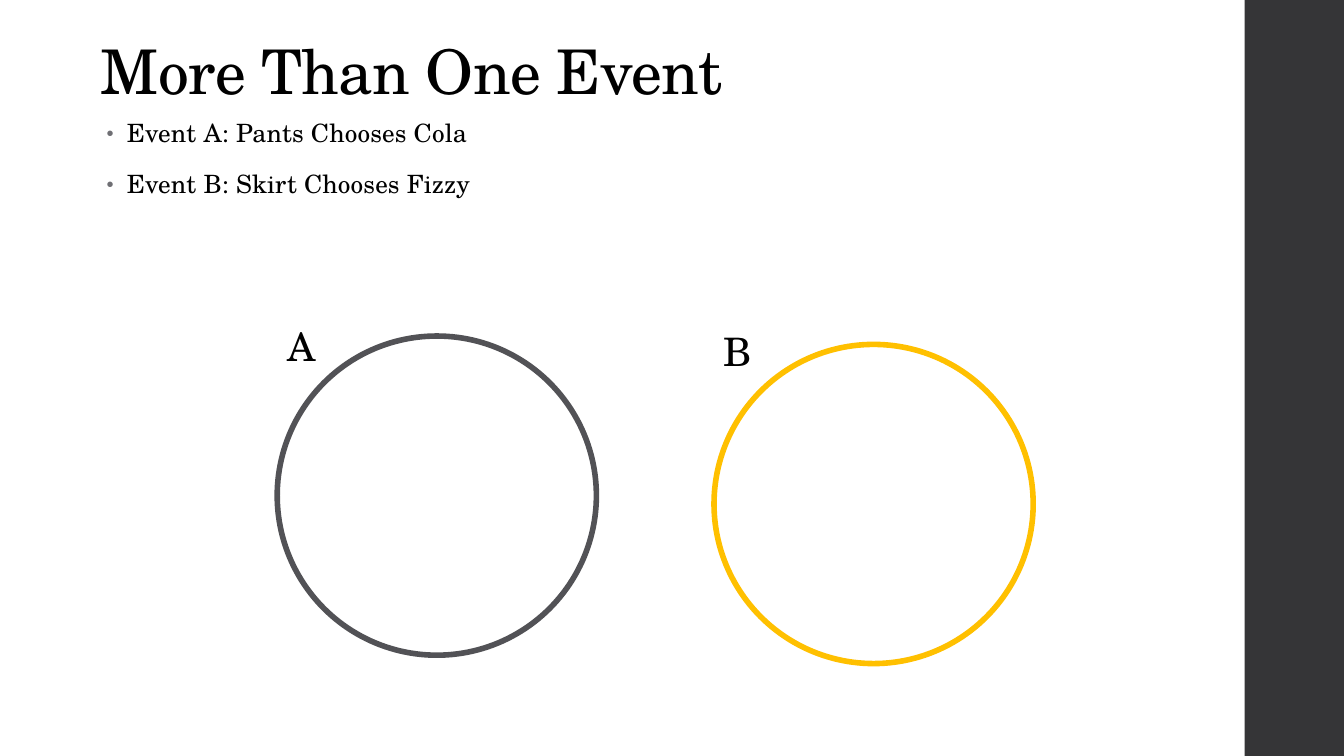
from lxml import etree
from pptx import Presentation
from pptx.dml.color import RGBColor
from pptx.enum import shapes, text
from pptx.oxml.ns import qn
from pptx.util import Pt

FONT = "TeX Gyre Schola"
COLORS = {"text": "000000", "bullet": "6F6F74", "sidebar": "353537",
          "grey": "525256", "gold": "FFC000"}

TITLE = "More Than One Event"
EVENTS = ["Event A: Pants Chooses Cola", "Event B: Skirt Chooses Fizzy"]
# label, line colour, left, circle top, label top, label width
CIRCLES = [("A", "grey", 198, 240, 226.8, 15),
           ("B", "gold", 510, 246, 230.4, 73)]
DIAMETER = 228


def color(name):
    return RGBColor.from_string(COLORS[name])


def place(shape, left, top, width, height):
    shape.left, shape.top = Pt(left), Pt(top)
    shape.width, shape.height = Pt(width), Pt(height)


def write(para, words, size, tracking=0, line=1.0, before=0, after=0):
    para.alignment = text.PP_ALIGN.LEFT
    para.line_spacing = line
    para.space_before, para.space_after = Pt(before), Pt(after)
    span = para.add_run()
    span.text = words
    span.font.name, span.font.size = FONT, Pt(size)
    span.font.color.rgb = color("text")
    if tracking:
        span.font._element.set("spc", str(round(tracking * 100)))


def add_bullet(para, indent):
    props = para._p.get_or_add_pPr()
    props.set("marL", str(Pt(indent)))
    props.set("indent", str(-Pt(indent)))
    tint = etree.SubElement(props, qn("a:buClr"))
    etree.SubElement(tint, qn("a:srgbClr"), val=COLORS["bullet"])
    etree.SubElement(props, qn("a:buSzPct"), val="80000")
    etree.SubElement(props, qn("a:buFont"), typeface="Arial")
    etree.SubElement(props, qn("a:buChar"), char="•")


def add_plain_shape(page, kind, left, top, width, height):
    shape = page.shapes.add_shape(kind, Pt(left), Pt(top), Pt(width), Pt(height))
    shape.shadow.inherit = False
    return shape


deck = Presentation()
deck.slide_width, deck.slide_height = Pt(960), Pt(540)
page = deck.slides.add_slide(deck.slide_layouts[1])

title, body = page.placeholders
place(title, 64.8, 8, 763, 72.7)
title.text_frame.vertical_anchor = text.MSO_ANCHOR.BOTTOM
title.text_frame.auto_size = text.MSO_AUTO_SIZE.NONE
write(title.text_frame.paragraphs[0], TITLE, 44, tracking=-0.5, line=0.9)

place(body, 69, 82, 677, 343)
body.text_frame.auto_size = text.MSO_AUTO_SIZE.NONE
for index, event in enumerate(EVENTS):
    para = body.text_frame.add_paragraph() if index else body.text_frame.paragraphs[0]
    add_bullet(para, 14.4)
    write(para, event, 18, tracking=0.1, line=0.95, before=14 if index else 0, after=2)

sidebar = add_plain_shape(page, shapes.MSO_SHAPE.RECTANGLE, 889, 0, 71, 540)
sidebar.fill.solid()
sidebar.fill.fore_color.rgb = color("sidebar")
sidebar.line.fill.background()

for label, tint, left, top, label_top, label_width in CIRCLES:
    circle = add_plain_shape(page, shapes.MSO_SHAPE.OVAL, left, top, DIAMETER, DIAMETER)
    circle.fill.background()
    circle.line.color.rgb = color(tint)
    circle.line.width = Pt(4)
    box = page.shapes.add_textbox(Pt(left), Pt(label_top), Pt(label_width), Pt(41))
    box.text_frame.word_wrap = True
    box.text_frame.auto_size = text.MSO_AUTO_SIZE.SHAPE_TO_FIT_TEXT
    write(box.text_frame.paragraphs[0], label, 28)

deck.save("out.pptx")
